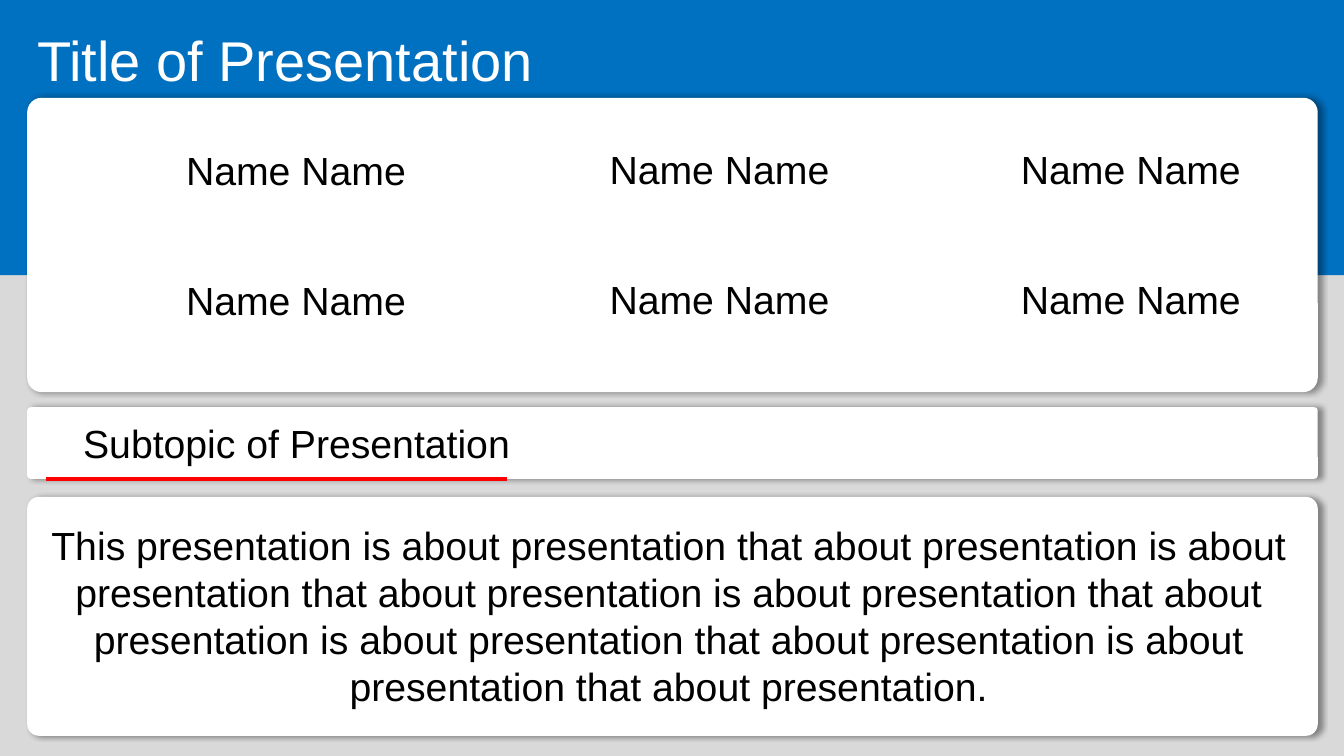
import pptx
import pptx.util
import pptx.dml.color
import pptx.enum.shapes
import pptx.enum.text
import pptx.oxml
import pptx.oxml.ns
from pptx.util import Inches

TITLE = "Title of Presentation"
SUBTOPIC = "Subtopic of Presentation"
SUMMARY = ("This presentation is about presentation that about presentation is about "
           "presentation that about presentation is about presentation that about "
           "presentation is about presentation that about presentation is about "
           "presentation that about presentation.")
NAME_COLUMNS = [  # left, top, names from top to bottom
    (1.66, 1.40, ["Name Name", "Name Name"]),
    (5.86, 1.39, ["Name Name", "Name Name"]),
    (9.94, 1.39, ["Name Name", "Name Name"]),
]
NAME_PITCH = 1.29
NAME_SIZE = (2.55, 0.57)
CARD_LEFT, CARD_WIDTH = 0.27, 12.8
NAMES_CARD, SUBTOPIC_CARD, SUMMARY_CARD = (0.97, 2.92), (4.04, 0.71), (4.93, 2.37)
UNDERLINE = (0.46, 5.03)
COLORS = {"page": "D9D9D9", "band": "0070C0", "card": "FFFFFF", "title": "FFFFFF",
          "text": "000000", "underline": "FF0000", "shadow": "000000"}
FONT = "Arial"


def rgb(name):
    return pptx.dml.color.RGBColor.from_string(COLORS[name])


def add_effects(sp, inner=""):
    """Set the effect list of a shape; an empty one removes its shadow."""
    sp.element.spPr.append(pptx.oxml.parse_xml(
        f'<a:effectLst {pptx.oxml.ns.nsdecls("a")}>{inner}</a:effectLst>'))


def add_box(s, kind, color, left, top, width, height):
    sp = s.shapes.add_shape(kind, Inches(left), Inches(top), Inches(width), Inches(height))
    sp.fill.solid()
    sp.fill.fore_color.rgb = rgb(color)
    sp.line.fill.background()
    return sp


def add_card(s, top, height):
    sp = add_box(s, pptx.enum.shapes.MSO_SHAPE.ROUNDED_RECTANGLE, "card",
                 CARD_LEFT, top, CARD_WIDTH, height)
    sp.adjustments[0] = 0.049
    blur, dist = pptx.util.Pt(4), pptx.util.Pt(3)
    add_effects(sp, f'<a:outerShdw blurRad="{blur}" dist="{dist}" dir="0" algn="l" '
                    f'rotWithShape="0"><a:srgbClr val="{COLORS["shadow"]}">'
                    '<a:alpha val="40000"/></a:srgbClr></a:outerShdw>')


def set_text(sp, text, size=28, color="text", align=pptx.enum.text.PP_ALIGN.CENTER):
    tf = sp.text_frame
    tf.text = text
    tf.word_wrap = True
    tf.auto_size = pptx.enum.text.MSO_AUTO_SIZE.SHAPE_TO_FIT_TEXT
    p = tf.paragraphs[0]
    p.alignment = align
    r = p.runs[0]
    r.font.name = FONT
    r.font.size = pptx.util.Pt(size)
    r.font.color.rgb = rgb(color)


def add_text(s, text, left, top, width, height):
    sp = s.shapes.add_textbox(Inches(left), Inches(top), Inches(width), Inches(height))
    set_text(sp, text)


def add_title(s):
    """Place the title placeholder in front of the shapes drawn so far."""
    sp = s.shapes.title
    sp.left, sp.top, sp.width, sp.height = map(Inches, (0.27, 0.2, 6.13, 0.77))
    set_text(sp, TITLE, 40, "title", pptx.enum.text.PP_ALIGN.LEFT)
    sp.element.getparent().append(sp.element)


def add_underline(s):
    x1, x2 = map(Inches, UNDERLINE)
    y = Inches(sum(SUBTOPIC_CARD))
    line = s.shapes.add_connector(pptx.enum.shapes.MSO_CONNECTOR.STRAIGHT, x1, y, x2, y)
    line.line.color.rgb = rgb("underline")
    line.line.width = pptx.util.Pt(3)
    add_effects(line)


def main():
    prs = pptx.Presentation()
    prs.slide_width, prs.slide_height = Inches(13.33), Inches(7.5)
    s = prs.slides.add_slide(prs.slide_layouts.get_by_name("Title Only"))
    s.background.fill.solid()
    s.background.fill.fore_color.rgb = rgb("page")

    band = add_box(s, pptx.enum.shapes.MSO_SHAPE.RECTANGLE, "band", 0, 0, 13.33, 2.73)
    band.shadow.inherit = False
    for card in (NAMES_CARD, SUBTOPIC_CARD, SUMMARY_CARD):
        add_card(s, *card)

    add_title(s)
    for left, top, names in NAME_COLUMNS:
        for row, name in enumerate(names):
            add_text(s, name, left, top + row * NAME_PITCH, *NAME_SIZE)
    add_text(s, SUBTOPIC, 0.4, 4.11, 5.08, 0.57)
    add_underline(s)
    add_text(s, SUMMARY, 0.4, 5.12, 12.46, 1.99)
    prs.save("out.pptx")


if __name__ == "__main__":
    main()
